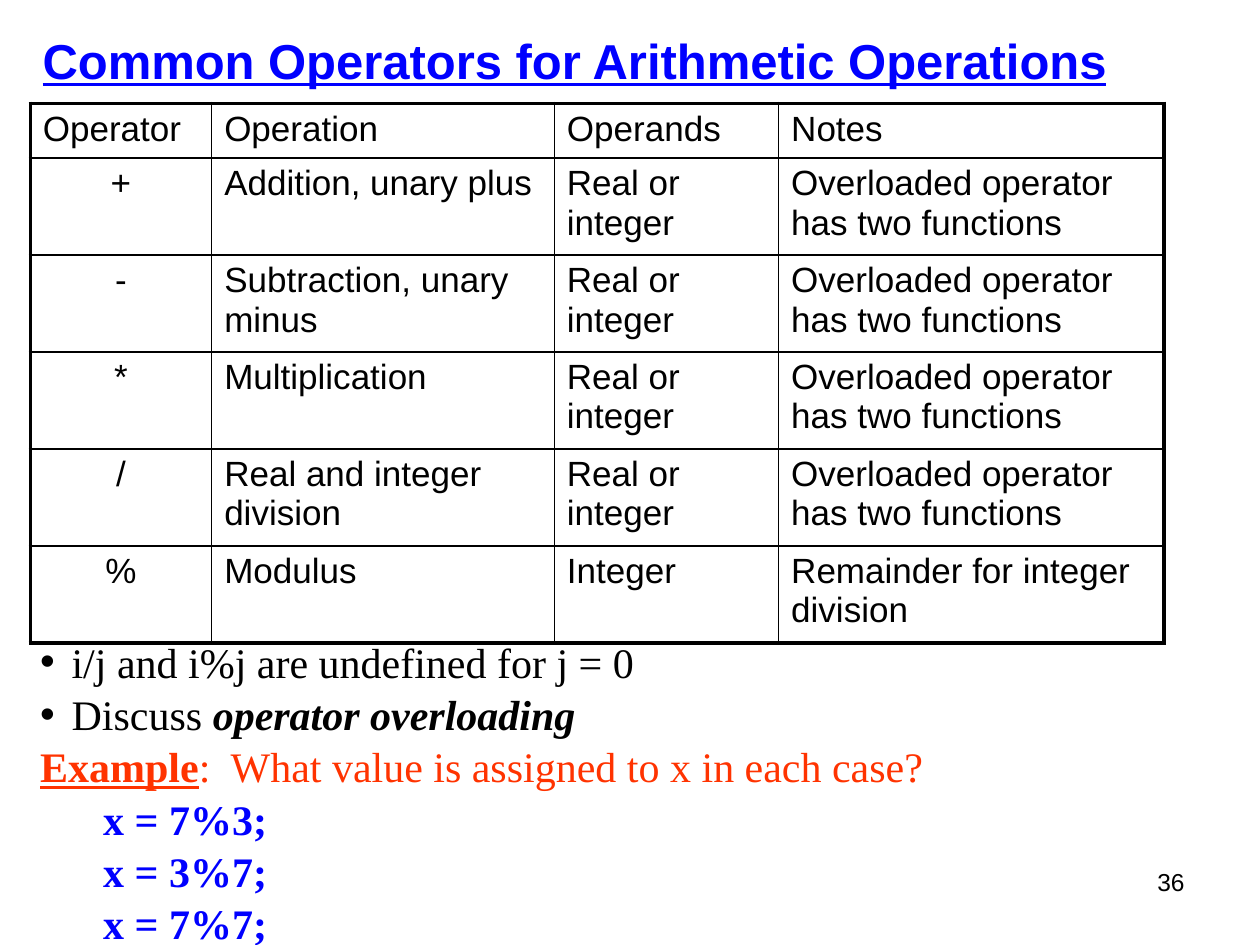
"""Build the slide on common operators for arithmetic operations."""
from lxml.etree import SubElement
from pptx import Presentation
from pptx.dml.color import RGBColor
from pptx.enum.text import MSO_ANCHOR, PP_ALIGN
from pptx.oxml.ns import qn
from pptx.util import Inches, Pt

THEME = {
    "sans": "Arial", "serif": "Times New Roman",
    "black": "000000", "blue": "0000FF", "red": "FF3300",
    "title": 28, "body": 24, "table": 20, "number": 14,
    "inner": 1, "outer": 2.25, "gap": 1.1,
}
TITLE = "Common Operators for Arithmetic Operations"
NUMBER = "36"
HEADER = ("Operator", "Operation", "Operands", "Notes")
EITHER = "Real or integer"
OVERLOADED = "Overloaded operator has two functions"
ROWS = [
    HEADER,
    ("+", "Addition, unary plus", EITHER, OVERLOADED),
    ("-", "Subtraction, unary minus", EITHER, OVERLOADED),
    ("*", "Multiplication", EITHER, OVERLOADED),
    ("/", "Real and integer division", EITHER, OVERLOADED),
    ("%", "Modulus", "Integer", "Remainder for integer division"),
]
COLUMN_WIDTHS = (1.44, 2.72, 1.78, 3.06)
HEADER_HEIGHT, ROW_HEIGHT = 0.43, 0.77
BULLETS = [
    [("i/j and i%j are undefined for j = 0", {})],
    [("Discuss ", {}), ("operator overloading", {"bold": True, "italic": True})],
]
EXAMPLE = [
    ("Example", {"color": "red", "bold": True, "underline": True}),
    (":  What value is assigned to x in each case?", {"color": "red"}),
]
STATEMENTS = ("x = 7%3;", "x = 3%7;", "x = 7%7;")


def add_span(para, text, size="body", face="serif", color="black",
             bold=False, italic=False, underline=False):
    span = para.add_run()
    span.text = text
    font = span.font
    font.size, font.name = Pt(THEME[size]), THEME[face]
    font.color.rgb = RGBColor.from_string(THEME[color])
    font.bold, font.italic, font.underline = bold, italic, underline


def add_box(page, left, top, width, height):
    box = page.shapes.add_textbox(*map(Inches, (left, top, width, height)))
    box.text_frame.word_wrap = True
    return box.text_frame


def set_indent(para, margin, first, bullet=None):
    properties = para._p.get_or_add_pPr()
    properties.set("marL", str(Inches(margin)))
    properties.set("indent", str(Inches(first)))
    if bullet:
        SubElement(properties, qn("a:buFont"), typeface=THEME["sans"])
        SubElement(properties, qn("a:buChar"), char=bullet)


def set_borders(cell, outer_sides):
    properties = cell._tc.get_or_add_tcPr()
    for side in "LRTB":
        width = THEME["outer" if side in outer_sides else "inner"]
        line = SubElement(properties, qn(f"a:ln{side}"), w=str(Pt(width)))
        fill = SubElement(line, qn("a:solidFill"))
        SubElement(fill, qn("a:srgbClr"), val=THEME["black"])


def add_operator_table(page):
    heights = [HEADER_HEIGHT] + [ROW_HEIGHT] * (len(ROWS) - 1)
    table = page.shapes.add_table(
        len(ROWS), len(HEADER), Inches(0.24), Inches(0.82),
        Inches(sum(COLUMN_WIDTHS)), Inches(sum(heights))).table
    table.first_row = table.horz_banding = False
    for column, width in zip(table.columns, COLUMN_WIDTHS):
        column.width = Inches(width)
    for r, (texts, height) in enumerate(zip(ROWS, heights)):
        table.rows[r].height = Inches(height)
        for c, text in enumerate(texts):
            cell = table.cell(r, c)
            edges = {"L": c == 0, "R": c == len(HEADER) - 1,
                     "T": r == 0, "B": r == len(ROWS) - 1}
            set_borders(cell, [side for side, outer in edges.items() if outer])
            cell.fill.background()
            para = cell.text_frame.paragraphs[0]
            para.alignment = PP_ALIGN.CENTER if r and c == 0 else PP_ALIGN.LEFT
            add_span(para, text, size="table", face="sans")


def add_body(page):
    lines = [(spans, 0.25, -0.25, "•") for spans in BULLETS]
    lines.append((EXAMPLE, 0.25, -0.25, None))
    lines += [([(text, {"color": "blue", "bold": True})], 0.5, 0, None)
              for text in STATEMENTS]
    frame = add_box(page, 0.22, 5, 8.67, 2.52)
    for i, (spans, margin, first, bullet) in enumerate(lines):
        para = frame.add_paragraph() if i else frame.paragraphs[0]
        if i:
            para.space_before = Pt(THEME["gap"])
        set_indent(para, margin, first, bullet)
        for text, style in spans:
            add_span(para, text, **style)


def main():
    deck = Presentation()
    deck.slide_width, deck.slide_height = Inches(10), Inches(7.5)
    page = deck.slides.add_slide(deck.slide_layouts[6])

    number = add_box(page, 7.17, 6.83, 2.33, 0.52).paragraphs[0]
    number.alignment = PP_ALIGN.RIGHT
    add_span(number, NUMBER, size="number", face="sans")

    title = add_box(page, 0.24, 0.19, 9, 0.57)
    title.vertical_anchor = MSO_ANCHOR.MIDDLE
    add_span(title.paragraphs[0], TITLE, size="title", face="sans",
             color="blue", bold=True, underline=True)

    add_body(page)
    add_operator_table(page)
    deck.save("out.pptx")


if __name__ == "__main__":
    main()
